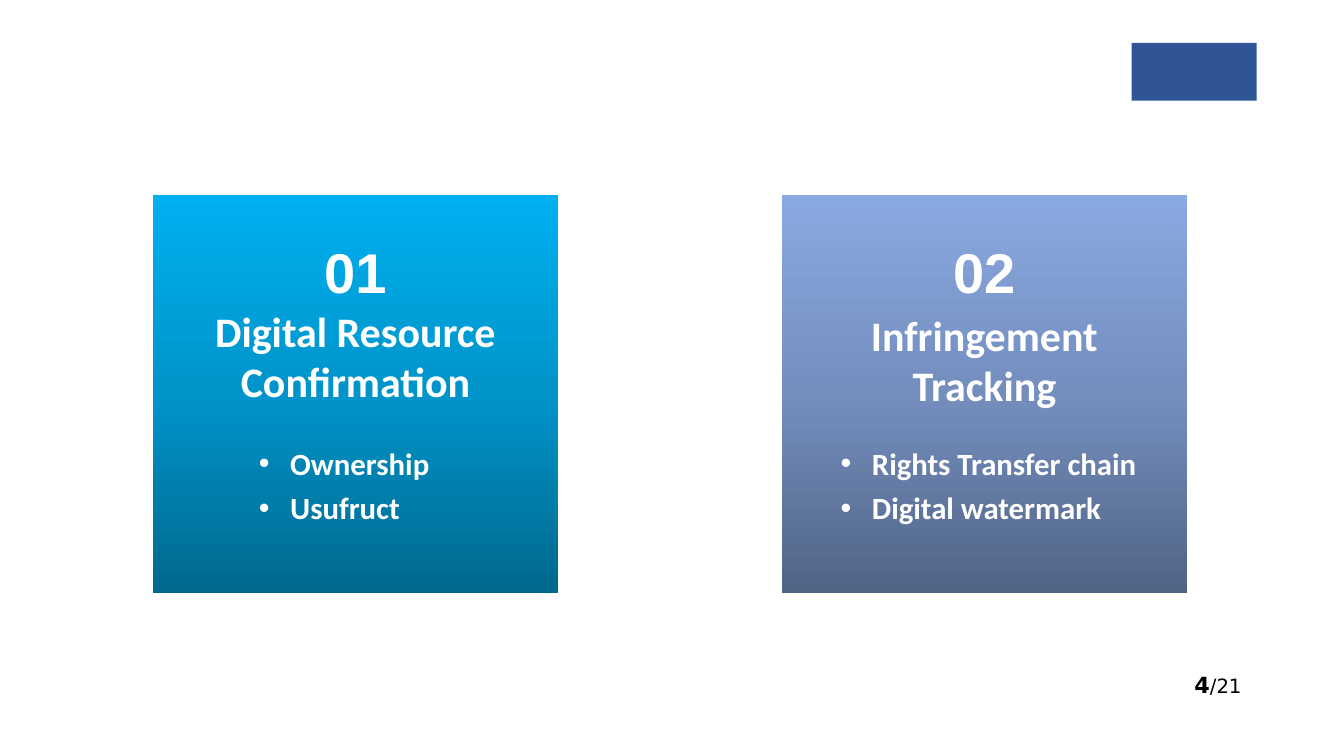
"""Build the slide with the two topic cards, digital resource confirmation and infringement tracking."""
from copy import deepcopy

from pptx import Presentation
from pptx import util as u
from pptx.dml.color import RGBColor
from pptx.enum import shapes, text
from pptx.oxml import ns

COLORS = {
    "white": "FFFFFF",
    "black": "000000",
    "navy": "2F5597",
    "cyan": ["00688E", "0094CA", "00B0F0"],
    "periwinkle": ["516486", "748EBE", "89A9E1"],
}


def place(box, left, top, width, height):
    """Position a text-bearing object and prepare its frame."""
    box.left, box.top = u.Cm(left), u.Cm(top)
    box.width, box.height = u.Cm(width), u.Cm(height)
    frame = box.text_frame
    frame.word_wrap = True
    frame.auto_size = text.MSO_AUTO_SIZE.NONE
    frame.vertical_anchor = text.MSO_ANCHOR.TOP
    return frame


def add_span(para, words, size, color, font="Calibri", bold=True):
    """Add one formatted run to a paragraph."""
    span = para.add_run()
    span.text = words
    span.font.name, span.font.size = font, u.Pt(size)
    span.font.bold = bold
    span.font.color.rgb = RGBColor.from_string(COLORS[color])


deck = Presentation()
deck.slide_width, deck.slide_height = u.Cm(33.87), u.Cm(19.05)
page = deck.slides.add_slide(deck.slide_layouts.get_by_name("Comparison"))
title = page.shapes.title.element
title.getparent().remove(title)
slots = {slot.placeholder_format.idx: slot for slot in page.placeholders}

cards = [
    ("01", "cyan", "Digital Resource Confirmation", (4.83, 7.57, 8.26, 2.82),
     ["Ownership", "Usufruct"], 6.27),
    ("02", "periwinkle", "Infringement Tracking", (21.18, 7.67, 7.26, 2.82),
     ["Rights Transfer chain", "Digital watermark"], 20.93),
]
for index, (number, shades, heading, heading_area, topics, list_left) in enumerate(cards):
    shift = 15.85 * index
    card = page.shapes.add_shape(shapes.MSO_SHAPE.RECTANGLE, u.Cm(3.86 + shift), u.Cm(4.91),
                                 u.Cm(10.21), u.Cm(10.03))
    card.shadow.inherit = False
    card.line.fill.background()
    card.fill.gradient()
    card.fill.gradient_angle = 90
    stop_list = card.element.find(".//" + ns.qn("a:gsLst"))
    stop_list.insert(1, deepcopy(stop_list[0]))
    for position, (stop, shade) in enumerate(zip(card.fill.gradient_stops, COLORS[shades])):
        stop.position = position / 2
        stop.color.rgb = RGBColor.from_string(shade)

    number_box = page.shapes.add_textbox(0, 0, 0, 0)
    frame = place(number_box, 7.92 + shift, 5.87, 3.61, 1.96)
    add_span(frame.paragraphs[0], number, 40, "white", "Arial")

    heading_box, list_box = slots[2 * index + 1], slots[2 * index + 2]
    for box in (heading_box, list_box):
        box.element.getparent().append(box.element)

    para = place(heading_box, *heading_area).paragraphs[0]
    para.alignment = text.PP_ALIGN.CENTER
    para.space_before = u.Pt(0)
    add_span(para, heading, 30, "white")

    frame = place(list_box, list_left, 10.89, 8.26, 2.4)
    for row, topic in enumerate(topics):
        para = frame.add_paragraph() if row else frame.paragraphs[0]
        para.space_before = u.Pt(0)
        para.line_spacing = 1.2
        properties = para._p.get_or_add_pPr()
        properties.set("marL", str(u.Cm(0.79)))
        properties.set("indent", str(u.Cm(-0.79)))
        add_span(para, topic, 22, "white")

page_number = page.shapes.add_textbox(0, 0, 0, 0)
frame = place(page_number, 30.1, 16.92, 1.55, 0.64)
frame.margin_left = frame.margin_top = frame.margin_right = frame.margin_bottom = 0
add_span(frame.paragraphs[0], "4", 15.9, "black", "DejaVu Sans")
add_span(frame.paragraphs[0], "/21", 14.1, "black", "DejaVu Sans", bold=False)

corner_block = page.shapes.add_shape(shapes.MSO_SHAPE.RECTANGLE, u.Cm(28.52), u.Cm(1.08),
                                     u.Cm(3.15), u.Cm(1.46))
corner_block.shadow.inherit = False
corner_block.fill.solid()
corner_block.fill.fore_color.rgb = RGBColor.from_string(COLORS["navy"])
corner_block.line.fill.background()

deck.save("out.pptx")
